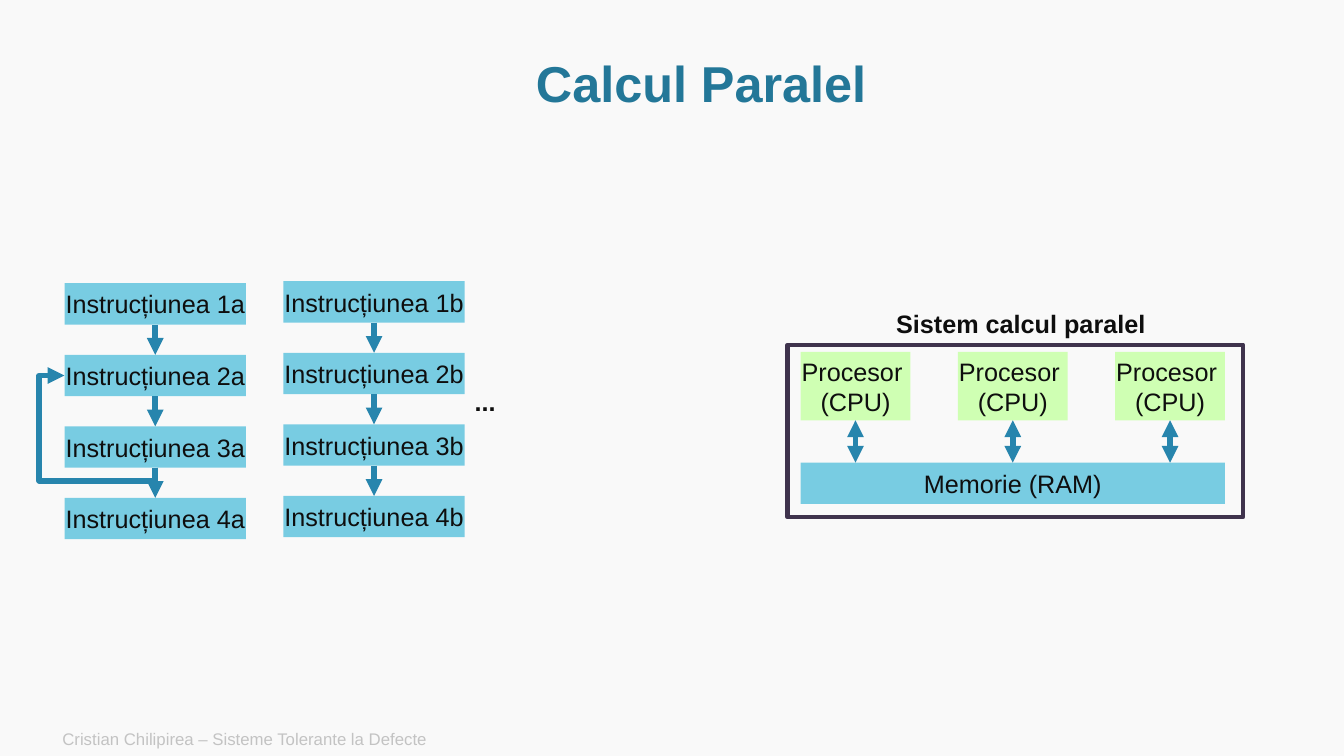
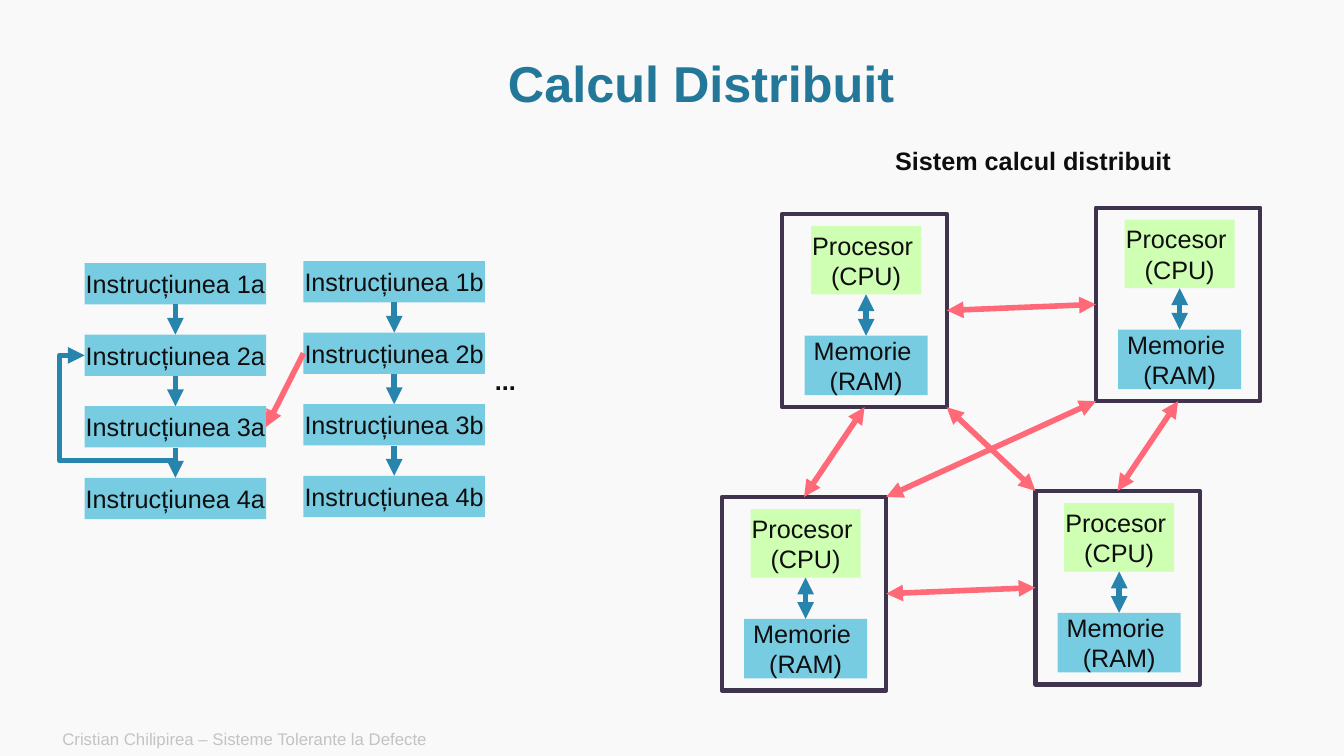
from dataclasses import dataclass

from lxml.etree import SubElement as Sub
from pptx import Presentation
from pptx.dml.color import RGBColor as RGB
from pptx.enum.shapes import MSO_CONNECTOR as Wire, MSO_SHAPE as Form
from pptx.enum.text import MSO_ANCHOR as Anchor, MSO_AUTO_SIZE as Fit, PP_ALIGN as Align
from pptx.oxml.ns import qn
from pptx.util import Inches, Pt


@dataclass(frozen=True)
class Theme:
    font: str = "Arial"
    back: str = "F9F9F9"
    title: str = "237798"
    text: str = "0E0E0E"
    foot: str = "C3C3C3"
    blue: str = "78CCE2"
    green: str = "CFFFB3"
    arrow: str = "2785AD"
    red: str = "FF6978"
    frame: str = "3F334D"
    big: int = 36
    body: int = 18
    small: int = 12
    wire: int = 4
    edge: int = 3


T = Theme()
TOP, LEFT, BOTTOM, RIGHT = range(4)
BAR_W, BAR_H, STEP = 1.8, 0.41, 0.71
CPU_W, CPU_H = 1.09, 0.68
CPU = ("Procesor ", "(CPU)")
RAM = ("Memorie ", "(RAM)")


def rgb(code):
    return RGB.from_string(code)


def write(shape, lines, size=T.body, color=T.text, bold=False, align=Align.CENTER,
          space=None, **frame):
    """Fill a shape with one paragraph per line; frame holds text frame settings."""
    tf = shape.text_frame
    look = dict(vertical_anchor=Anchor.MIDDLE, word_wrap=False) | frame
    for key, value in look.items():
        setattr(tf, key, value)
    tf.text = "\n".join(lines)
    for para in tf.paragraphs:
        para.alignment = align
        if space:
            para.line_spacing = space
        for key, value in dict(name=T.font, size=Pt(size), bold=bold).items():
            setattr(para.font, key, value)
        para.font.color.rgb = rgb(color)


def note(slide, box, line, **look):
    write(slide.shapes.add_textbox(*map(Inches, box)), [line], **look)


def label(slide, box, line):
    note(slide, box, line, bold=True, align=Align.LEFT,
         vertical_anchor=Anchor.TOP, auto_size=Fit.SHAPE_TO_FIT_TEXT)


def rect(slide, box):
    shape = slide.shapes.add_shape(Form.RECTANGLE, *map(Inches, box))
    shape.shadow.inherit = False
    return shape


def block(slide, box, lines, color=T.blue):
    shape = rect(slide, box)
    shape.fill.solid()
    shape.fill.fore_color.rgb = rgb(color)
    shape.line.fill.background()
    write(shape, lines)
    return shape


def stroke(shape, color, width):
    shape.line.color.rgb = rgb(color)
    shape.line.width = Pt(width)
    ln = shape.line._ln
    Sub(ln, qn("a:round"))
    return ln


def frame(slide, box):
    shape = rect(slide, box)
    shape.fill.background()
    stroke(shape, T.frame, T.edge)
    return shape


def arrow(slide, start, end, color=T.arrow, both=False, kind=Wire.STRAIGHT):
    """Draw an arrow between two points in inches."""
    line = slide.shapes.add_connector(kind, *map(Inches, (*start, *end)))
    ln = stroke(line, color, T.wire)
    for tag in ("a:headEnd", "a:tailEnd") if both else ("a:tailEnd",):
        Sub(ln, qn(tag), type="triangle")
    Sub(line._element.spPr, qn("a:effectLst"))
    return line


def link(slide, head, tail, **look):
    """Glue an arrow to two (shape, side) pairs."""
    line = arrow(slide, (0, 0), (1, 1), **look)
    line.begin_connect(*head)
    line.end_connect(*tail)


def loop(slide, start, end):
    """Lead an arrow below its start, round the left and back up to its end."""
    wide, high = start[0] - end[0], start[1] - end[1]
    mid_x, mid_y = (start[0] + end[0]) / 2, (start[1] + end[1]) / 2
    line = arrow(slide, (mid_x + high / 2, mid_y - wide / 2),
                 (mid_x - high / 2, mid_y + wide / 2), kind=Wire.ELBOW)
    props = line._element.spPr
    props.find(qn("a:xfrm")).set("rot", "5400000")
    geom = props.find(qn("a:prstGeom"))
    geom.set("prst", "bentConnector4")
    for old in list(geom):
        geom.remove(old)
    guides = Sub(geom, qn("a:avLst"))
    for name, part in (("adj1", -0.13 / high), ("adj2", 1 + 0.25 / wide)):
        Sub(guides, qn("a:gd"), name=name, fmla=f"val {round(part * 100000)}")


def column(slide, x, y, mark):
    bars = [block(slide, (x, y + i * STEP, BAR_W, BAR_H), [f"Instrucțiunea {i + 1}{mark}"])
            for i in range(4)]
    for above, below in zip(bars, bars[1:]):
        link(slide, (above, BOTTOM), (below, TOP))
    return bars


def threads(slide, x, y):
    """Two instruction columns, the first with a loop."""
    first = column(slide, x, y, "a")
    loop(slide, (x + BAR_W / 2, y + 2 * STEP + BAR_H), (x, y + STEP + BAR_H / 2))
    second = column(slide, x + 2.17, y - 0.02, "b")
    label(slide, (x + 3.97, y + 0.97, 0.41, 0.4), "...")
    return first, second


def shared(slide, x, y):
    """One machine whose processors share a memory."""
    pad, pitch = 0.13, 1.56
    ram_y = y + 1.17
    block(slide, (x + pad, ram_y, 2 * pitch + CPU_W, BAR_H), ["Memorie (RAM)"])
    for i in range(3):
        left, top = x + pad + i * pitch, y + 0.07
        block(slide, (left, top, CPU_W, CPU_H), CPU, T.green)
        mid = left + CPU_W / 2
        arrow(slide, (mid, top + CPU_H), (mid, ram_y), both=True)
    label(slide, (x + 0.98, y - 0.41, 2.7, 0.4), "Sistem calcul paralel")
    frame(slide, (x, y, 4.52, 1.71))


def node(slide, x, y, wide, high):
    """One machine with its own processor and memory."""
    mid, ram_w = x + 0.83, 1.22
    ram = block(slide, (mid - ram_w / 2, y + 1.21, ram_w, 0.59), RAM)
    cpu = block(slide, (mid - CPU_W / 2, y + 0.12, CPU_W, CPU_H), CPU, T.green)
    link(slide, (cpu, BOTTOM), (ram, TOP), both=True)
    return frame(slide, (x, y, wide, high))


def network(slide, x, y):
    """Four machines on a slanted grid, each tied to all others."""
    wide, high = 1.63, 1.92
    spots = [[(x + 3.11 * c - 0.6 * r, y - 0.06 * c + 2.81 * r) for c in range(2)]
             for r in range(2)]
    upper, lower = [[node(slide, *spot, wide, high) for spot in row] for row in spots]
    look = dict(color=T.red, both=True)
    for left, right in (upper, lower):
        link(slide, (right, LEFT), (left, RIGHT), **look)
    for above, below in zip(upper, lower):
        link(slide, (above, BOTTOM), (below, TOP), **look)
    (ul, ur), (ll, lr) = spots
    arrow(slide, (ul[0] + wide, ul[1] + high), lr, **look)
    arrow(slide, (ur[0], ur[1] + high), (ll[0] + wide, ll[1]), **look)
    label(slide, (x + 1.02, y - 0.73, 2.99, 0.4), "Sistem calcul distribuit")


def page(deck, title):
    slide = deck.slides.add_slide(deck.slide_layouts[6])
    note(slide, (0.52, 7.16, 8.4, 0.34), "Cristian Chilipirea – Sisteme Tolerante la Defecte",
         size=T.small, color=T.foot, align=Align.LEFT, word_wrap=True)
    note(slide, (1.14, 0.51, 11.63, 0.69), title, size=T.big, color=T.title,
         bold=True, space=0.9, word_wrap=True)
    return slide


def main():
    deck = Presentation()
    deck.slide_width, deck.slide_height = Inches(13.33), Inches(7.5)
    back = deck.slide_master.background.fill
    back.solid()
    back.fore_color.rgb = rgb(T.back)

    slide = page(deck, "Calcul Paralel")
    threads(slide, 0.64, 2.81)
    shared(slide, 7.81, 3.42)

    slide = page(deck, "Calcul Distribuit")
    first, second = threads(slide, 0.84, 2.61)
    link(slide, (second[1], LEFT), (first[2], RIGHT), color=T.red)
    network(slide, 7.76, 2.12)

    deck.save("out.pptx")


if __name__ == "__main__":
    main()
